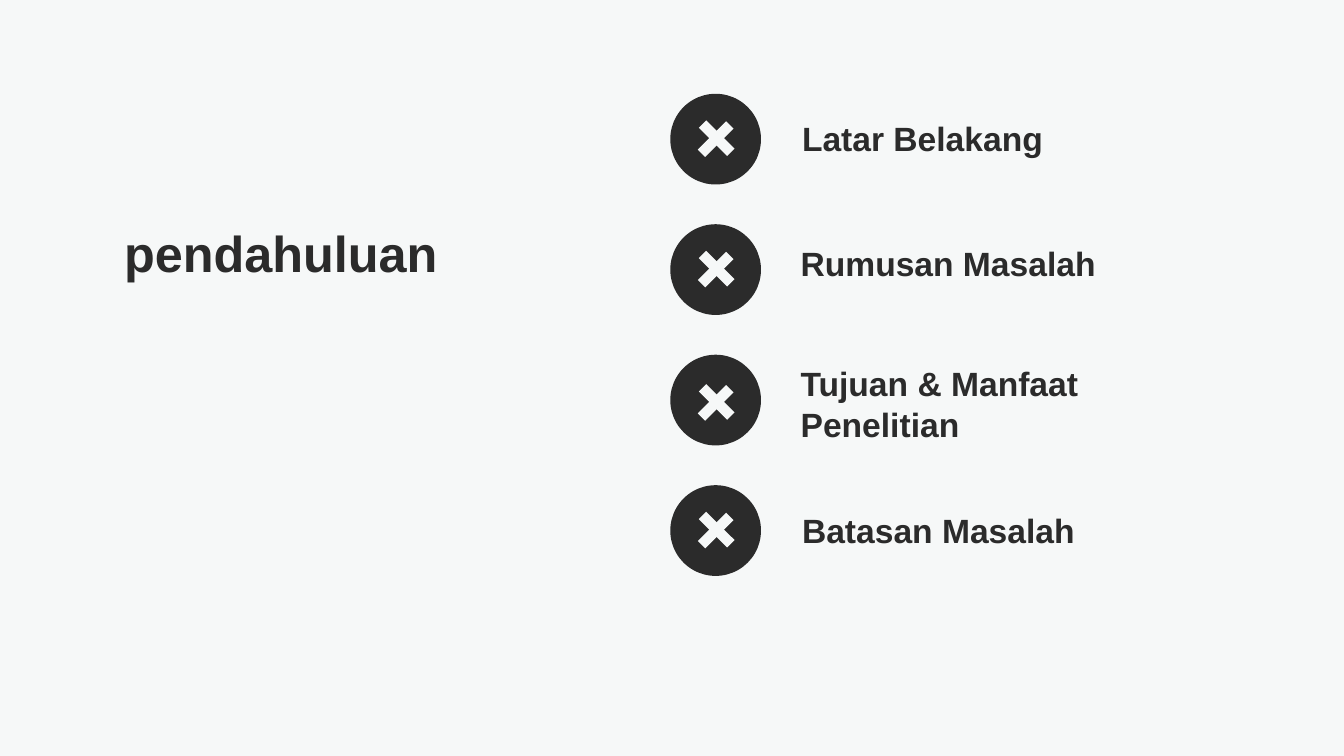
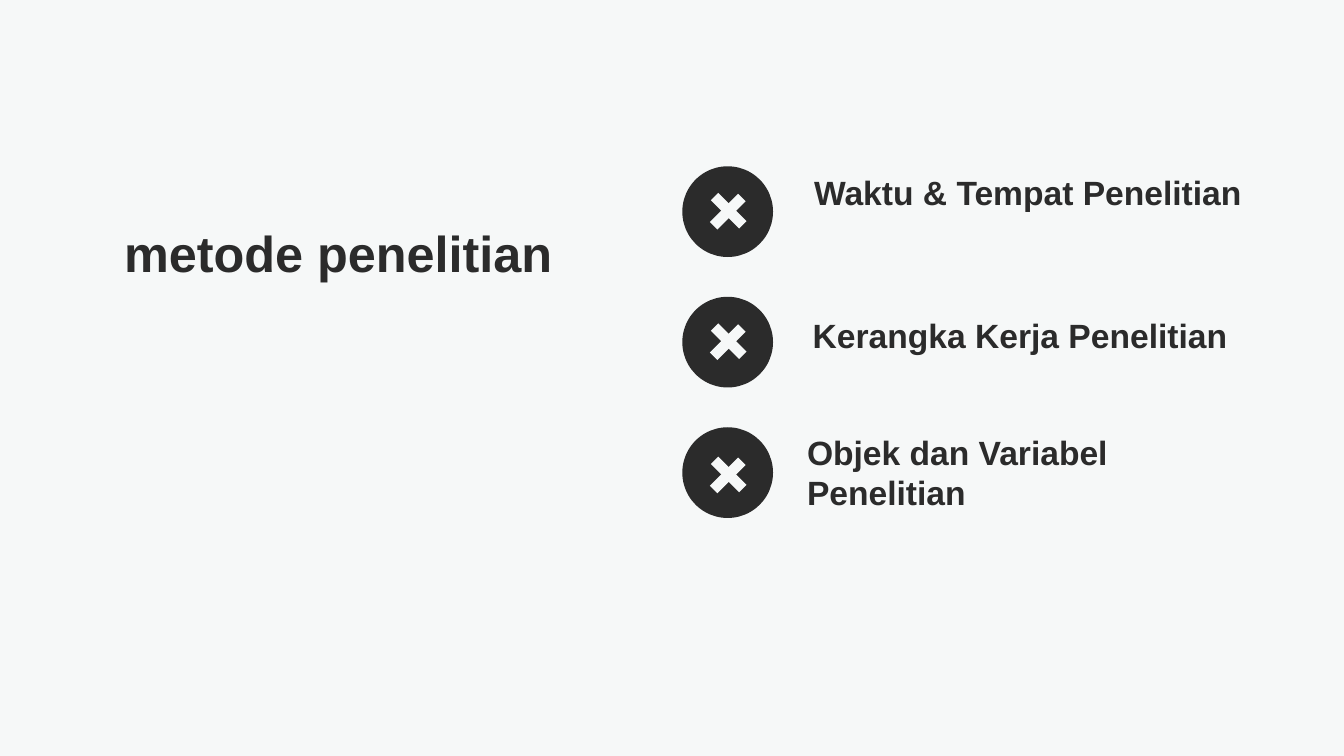
from lxml.etree import SubElement
from pptx import Presentation
from pptx.dml.color import RGBColor
from pptx.enum.shapes import MSO_CONNECTOR as CONN, MSO_SHAPE as SHAPE
from pptx.enum.text import MSO_ANCHOR as ANCHOR, MSO_AUTO_SIZE as FIT, PP_ALIGN as ALIGN
from pptx.oxml.ns import qn
from pptx.util import Pt

DARK, LIGHT = "2B2B2B", "F6F8F8"
FONT = "Arial"
DISC, PITCH, ARM = 64.8, 93.2, 10.1
LABEL_W = 328

# Each item: text, label offset from its disc (x, y), cross offset (y)
SLIDES = [
    {"title": "pendahuluan", "at": (478.8, 67), "items": [
        ("Latar Belakang", 87, 14, 0),
        ("Rumusan Masalah", 86, 10, 0),
        ("Tujuan & Manfaat Penelitian", 86, 2.5, 2),
        ("Batasan Masalah", 87, 14, 0)]},
    {"title": "metode penelitian", "at": (487.4, 118.8), "items": [
        ("Waktu & Tempat Penelitian", 87, 0.5, 0),
        ("Kerangka Kerja Penelitian", 86, 9.5, 0),
        ("Objek dan Variabel Penelitian", 82, -0.5, 2)]},
]


def color(value):
    return RGBColor.from_string(value)


def write(s, text, size):
    tf = s.text_frame
    tf.word_wrap, tf.auto_size, tf.vertical_anchor = True, FIT.NONE, ANCHOR.TOP
    p = tf.paragraphs[0]
    p.text, p.alignment, p.line_spacing = text, ALIGN.LEFT, Pt(size * 1.2)
    p.font.name, p.font.size, p.font.bold = FONT, Pt(size), True
    p.font.color.rgb = color(DARK)


def add_stroke(shapes, cx, cy, slope):
    line = shapes.add_connector(CONN.STRAIGHT, Pt(cx - ARM), Pt(cy - slope * ARM),
                                Pt(cx + ARM), Pt(cy + slope * ARM))
    line.line.width = Pt(7.5)
    line.line.color.rgb = color(LIGHT)
    SubElement(line._element.spPr, qn("a:effectLst"))


def add_item(sl, x, y, text, dx, dy, cross_dy):
    shapes = sl.shapes.add_group_shape().shapes
    disc = shapes.add_shape(SHAPE.OVAL, Pt(x), Pt(y), Pt(DISC), Pt(DISC))
    disc.shadow.inherit = False
    disc.fill.solid()
    disc.fill.fore_color.rgb = color(DARK)
    disc.line.fill.background()
    # Cross
    cx, cy = x + DISC / 2, y + DISC / 2 + cross_dy
    add_stroke(shapes, cx, cy, -1)
    add_stroke(shapes, cx + 0.7, cy - 0.7, 1)
    # Label
    label = shapes.add_textbox(Pt(x + dx), Pt(y + dy), Pt(LABEL_W), Pt(36))
    write(label, text, 24)
    if label.text_frame.text and dy < 5 and cross_dy:
        label.height = Pt(65)


def add_slide(prs, title, at, items):
    sl = prs.slides.add_slide(prs.slide_layouts[5])
    s = sl.shapes.title
    s.left, s.top, s.width, s.height = Pt(81.4), Pt(154.8), Pt(397.4), Pt(51)
    write(s, title, 36)
    x, top = at
    for row, item in enumerate(items):
        add_item(sl, x, top + row * PITCH, *item)


def main():
    prs = Presentation()
    prs.slide_width, prs.slide_height = Pt(960), Pt(540)
    # Shared background
    fill = prs.slide_master.background.fill
    fill.solid()
    fill.fore_color.rgb = color(LIGHT)
    for content in SLIDES:
        add_slide(prs, **content)
    prs.save("out.pptx")


if __name__ == "__main__":
    main()
